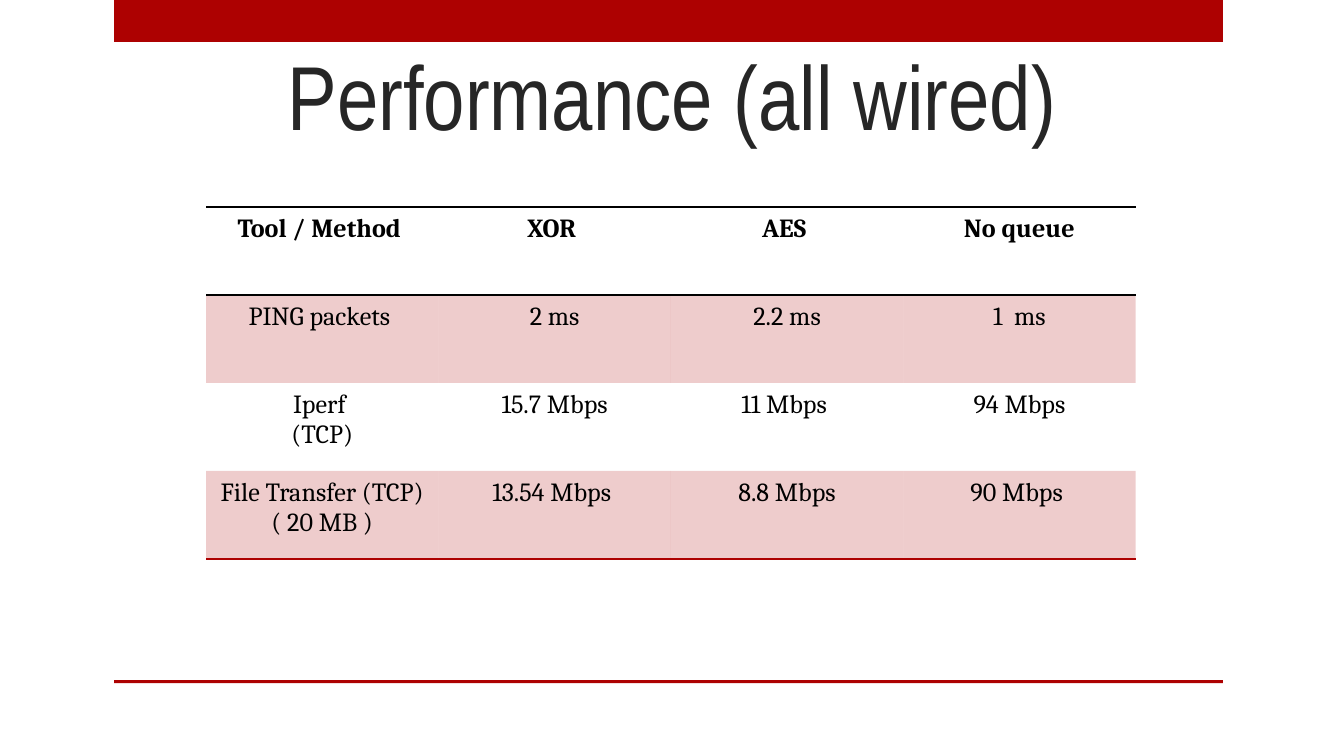
import lxml.etree
import pptx
import pptx.dml.color
import pptx.enum.shapes
import pptx.enum.text
import pptx.oxml.ns
import pptx.util

Pt = pptx.util.Pt
CENTER = pptx.enum.text.PP_ALIGN.CENTER

TITLE = "Performance (all wired)"
RESULTS = [
    ["Tool / Method ", "XOR ", "AES ", "No queue"],
    ["PING packets ", "2 ms", "2.2 ms", "1  ms"],
    ["Iperf \n(TCP)", "15.7 Mbps", "11 Mbps ", "94 Mbps"],
    ["File Transfer (TCP)\n ( 20 MB ) ", "13.54 Mbps ", "8.8 Mbps", "90 Mbps "],
]
COLORS = {"accent": "AD0101", "title": "262626", "text": "000000"}
BAND_ALPHA = 20
RULES = {0: "text", 1: "text", len(RESULTS): "accent"}
BARS = [(0, 22.5), (364.4, 1.6)]
BAR_LEFT, BAR_WIDTH = 61.2, 594
TABLE_LEFT, TABLE_TOP = 110.4, 111
COLUMN_WIDTH, ROW_HEIGHT = 124.5, 47.1


def rgb(name):
    return pptx.dml.color.RGBColor.from_string(COLORS[name])


def add_xml(parent, tag, **attributes):
    return lxml.etree.SubElement(parent, pptx.oxml.ns.qn(tag), attributes)


def style_paragraph(paragraph, font, size, color, bold=False):
    paragraph.alignment = CENTER
    paragraph.font.name = font
    paragraph.font.size = Pt(size)
    paragraph.font.bold = bold
    paragraph.font.color.rgb = rgb(color)


def set_border(cell, side, color):
    line = add_xml(cell._tc.get_or_add_tcPr(), f"a:ln{side}", w=str(Pt(1)))
    if color:
        fill = add_xml(line, "a:solidFill")
        add_xml(fill, "a:srgbClr", val=COLORS[color])
    else:
        add_xml(line, "a:noFill")


def fill_band(cell):
    cell.fill.solid()
    cell.fill.fore_color.rgb = rgb("accent")
    accent = cell._tc.tcPr.find(".//" + pptx.oxml.ns.qn("a:solidFill") + "[last()]")
    fills = cell._tc.tcPr.findall(pptx.oxml.ns.qn("a:solidFill"))
    accent = fills[0][0]
    add_xml(accent, "a:alpha", val=str(BAND_ALPHA * 1000))


def add_bars(slide):
    for top, height in BARS:
        bar = slide.shapes.add_shape(
            pptx.enum.shapes.MSO_SHAPE.RECTANGLE,
            Pt(BAR_LEFT), Pt(top), Pt(BAR_WIDTH), Pt(height))
        bar.shadow.inherit = False
        bar.fill.solid()
        bar.fill.fore_color.rgb = rgb("accent")
        bar.line.fill.background()


def add_title(slide):
    frame = slide.shapes.add_textbox(Pt(36), Pt(19.4), Pt(648), Pt(67.7)).text_frame
    frame.word_wrap = True
    frame.vertical_anchor = pptx.enum.text.MSO_ANCHOR.BOTTOM
    frame.margin_left = frame.margin_right = Pt(7.2)
    frame.margin_top = frame.margin_bottom = Pt(7.2)
    frame.text = TITLE
    style_paragraph(frame.paragraphs[0], "Arial Narrow", 48.6, "title")


def add_results(slide):
    rows, columns = len(RESULTS), len(RESULTS[0])
    table = slide.shapes.add_table(
        rows, columns, Pt(TABLE_LEFT), Pt(TABLE_TOP),
        Pt(COLUMN_WIDTH * columns), Pt(ROW_HEIGHT * rows)).table
    table.first_row = table.horz_banding = False
    for column in table.columns:
        column.width = Pt(COLUMN_WIDTH)
    for r, values in enumerate(RESULTS):
        table.rows[r].height = Pt(ROW_HEIGHT)
        for c, value in enumerate(values):
            cell = table.cell(r, c)
            cell.text = value
            for paragraph in cell.text_frame.paragraphs:
                style_paragraph(paragraph, "Cambria", 14, "text", bold=r == 0)
            borders = {"L": None, "R": None, "T": RULES.get(r), "B": RULES.get(r + 1)}
            for side, color in borders.items():
                set_border(cell, side, color)
            if r % 2:
                fill_band(cell)
            else:
                cell.fill.background()


def main():
    deck = pptx.Presentation()
    deck.slide_width, deck.slide_height = Pt(720), Pt(405)
    slide = deck.slides.add_slide(deck.slide_layouts[6])
    add_bars(slide)
    add_title(slide)
    add_results(slide)
    deck.save("out.pptx")


if __name__ == "__main__":
    main()
